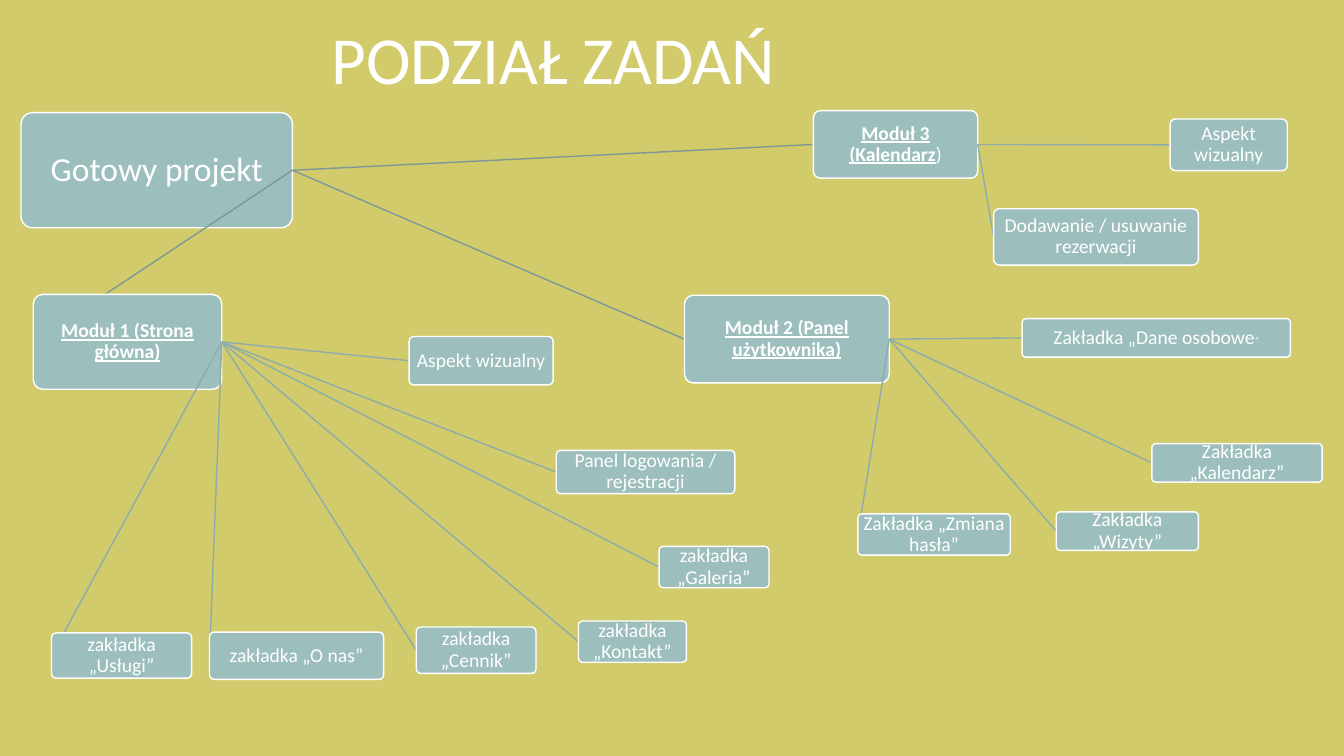
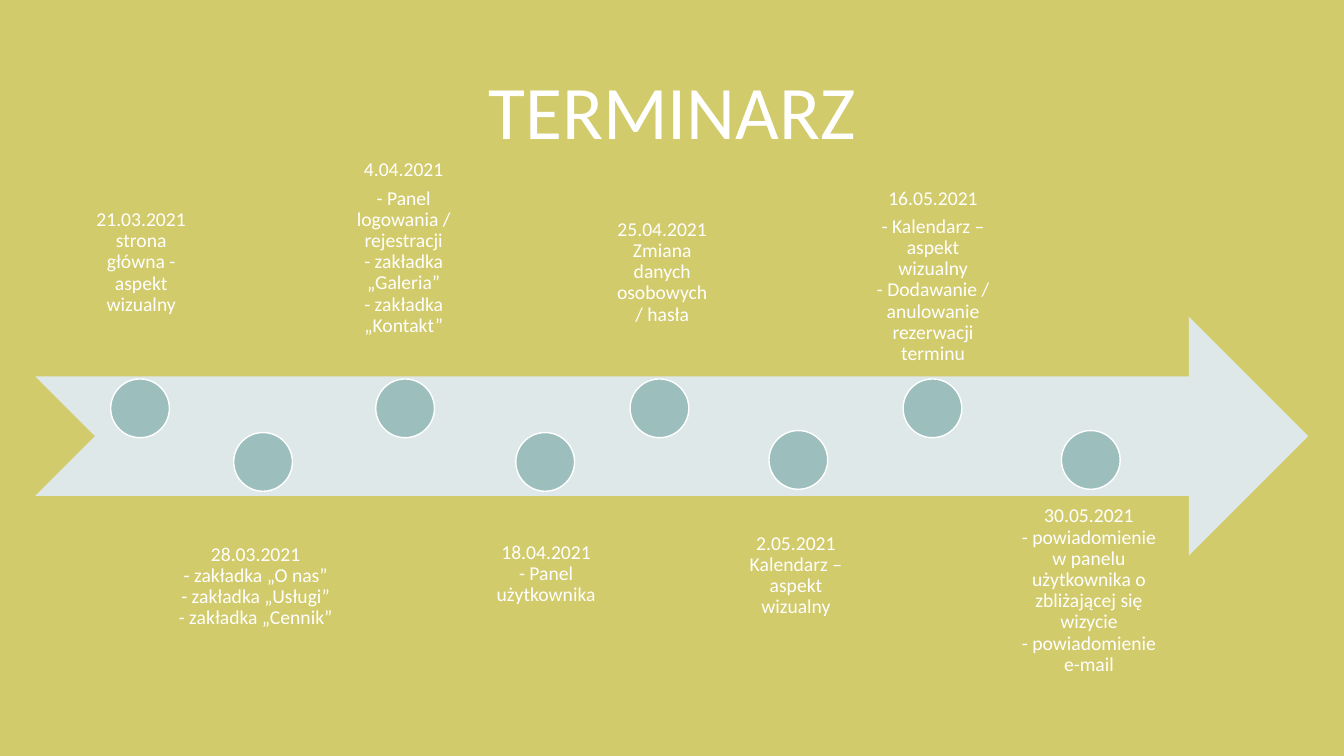
"""Build the two project slides: the task tree and the schedule."""
from lxml.etree import SubElement
from pptx import Presentation
from pptx.dml.color import RGBColor
from pptx.enum.shapes import MSO_CONNECTOR as CONN, MSO_SHAPE as SHAPE
from pptx.enum.text import MSO_ANCHOR as ANCHOR, PP_ALIGN as ALIGN
from pptx.oxml.ns import qn
from pptx.util import Cm, Pt

OLIVE = RGBColor(0xD2, 0xCB, 0x6C)
TEAL = RGBColor(0x9C, 0xBE, 0xBD)
PALE = RGBColor(0xDE, 0xE8, 0xE8)
WHITE = RGBColor(0xFF, 0xFF, 0xFF)
TRUNK = RGBColor(0x7D, 0x98, 0x97)
BRANCH = RGBColor(0x8E, 0xAC, 0xAC)
HEADING = {"bold": True, "underline": True}
LEFT, RIGHT = 1, 3

ROOT = ("Gotowy projekt", (0.53, 2.84, 6.84, 2.9))
MODULES = [
    ([("Moduł 1 (Strona główna)", HEADING)], (0.84, 7.42, 4.75, 2.39), [
        ("Aspekt wizualny", (10.31, 8.48, 3.63, 1.22)),
        ("zakładka „O nas”", (5.28, 15.93, 4.39, 1.19)),
        ("zakładka „Usługi”", (1.3, 15.95, 3.53, 1.14)),
        ("zakładka „Cennik”", (10.49, 15.8, 3.02, 1.17)),
        ("zakładka „Galeria”", (16.61, 13.77, 2.77, 1.04)),
        ("zakładka „Kontakt”", (14.58, 15.65, 2.72, 1.04)),
        ("Panel logowania / rejestracji", (14.02, 11.35, 4.5, 1.09)),
    ]),
    ([("Moduł 2 (Panel użytkownika)", HEADING)], (17.25, 7.44, 5.16, 2.21), [
        ([("Zakładka „Dane osobowe", {}), ("”", {"size": Pt(7)})], (25.76, 8.03, 6.76, 0.97)),
        ("Zakładka „Zmiana hasła”", (21.62, 12.95, 3.84, 1.04)),
        ("Zakładka „Kalendarz”", (29.03, 11.18, 4.29, 0.97)),
        ("Zakładka „Wizyty”", (26.62, 12.9, 3.58, 0.97)),
    ]),
    ([("Moduł 3 (Kalendarz", HEADING), (")", {})], (20.5, 2.79, 4.14, 1.7), [
        ("Dodawanie / usuwanie rezerwacji", (25.04, 5.26, 5.16, 1.42)),
        ("Aspekt wizualny", (29.49, 3, 2.95, 1.3)),
    ]),
]
MILESTONES = [
    (["21.03.2021\nstrona główna - aspekt wizualny"],
     (2.11, 4.32, 2.9, 3.91), (2.79, 9.55)),
    (["28.03.2021\n- zakładka „O nas”\n- zakładka „Usługi”\n- zakładka „Cennik”"],
     (4.17, 13.44, 4.55, 4.47), (5.89, 10.9)),
    (["4.04.2021", "- Panel logowania / rejestracji\n- zakładka „Galeria”\n- zakładka „Kontakt”"],
     (8.51, 3.68, 3.33, 5.08), (9.47, 9.55)),
    (["18.04.2021\n- Panel użytkownika"],
     (12.14, 13.39, 3.25, 2.26), (13, 10.9)),
    (["25.04.2021\nZmiana danych osobowych / hasła"],
     (15.19, 3.78, 3, 4.7), (15.88, 9.55)),
    (["2.05.2021\nKalendarz – aspekt wizualny"],
     (18.47, 13.16, 3.18, 2.46), (19.38, 10.85)),
    (["16.05.2021", "- Kalendarz – aspekt wizualny\n- Dodawanie / anulowanie rezerwacji terminu"],
     (21.79, 3.45, 3.45, 6.02), (22.76, 9.55)),
    (["30.05.2021\n- powiadomienie w panelu użytkownika o zbliżającej się wizycie"
      "\n- powiadomienie e-mail"],
     (25.35, 12.47, 4.19, 6.02), (26.75, 10.85)),
]


def assign(obj, values):
    for name, value in values.items():
        setattr(obj, name, value)


class Deck:
    def __init__(self):
        self.prs = Presentation()
        assign(self.prs, {"slide_width": Cm(33.87), "slide_height": Cm(19.05)})
        self.s = None

    def slide(self, title, left, top, size):
        self.s = self.prs.slides.add_slide(self.prs.slide_layouts[6])
        fill = self.s.background.fill
        fill.solid()
        fill.fore_color.rgb = OLIVE
        self.label([title], (left, top, 18.9, 1.73), ANCHOR.TOP, size,
                   {"space_before": Pt(10)}, (0.25, 0.13))

    def set_text(self, sp, paragraphs, anchor, size, spacing, inset):
        tf = sp.text_frame
        side, end = (Cm(n) for n in inset)
        assign(tf, {"word_wrap": True, "vertical_anchor": anchor, "margin_left": side,
                    "margin_right": side, "margin_top": end, "margin_bottom": end})
        for i, runs in enumerate(paragraphs):
            p = tf.add_paragraph() if i else tf.paragraphs[0]
            assign(p, {"alignment": ALIGN.CENTER, "line_spacing": 0.9, **spacing})
            for text, style in [(runs, {})] if isinstance(runs, str) else runs:
                for j, line in enumerate(text.split("\n")):
                    if j:
                        p.add_line_break()
                    r = p.add_run()
                    r.text = line
                    assign(r.font, {"name": "Calibri", "size": Pt(size), **style})
                    r.font.color.rgb = WHITE

    def label(self, paragraphs, box, anchor, size=14, spacing=None, inset=(0.28, 0.28)):
        sp = self.s.shapes.add_textbox(*map(Cm, box))
        self.set_text(sp, paragraphs, anchor, size, spacing or {"space_after": Pt(5)}, inset)

    def shape(self, kind, box, color, outlined=True):
        sp = self.s.shapes.add_shape(kind, *map(Cm, box))
        sp.shadow.inherit = False
        sp.fill.solid()
        sp.fill.fore_color.rgb = color
        if outlined:
            sp.line.color.rgb = WHITE
            sp.line.width = Pt(1)
        else:
            sp.line.fill.background()
        return sp

    def node(self, runs, box, size=14, parent=None, color=BRANCH):
        link = self.link(parent, color) if parent else None
        sp = self.shape(SHAPE.ROUNDED_RECTANGLE, box, TEAL)
        sp.adjustments[0] = 0.1
        self.set_text(sp, [runs], ANCHOR.MIDDLE, size, {"space_after": Pt(round(size * 0.35))},
                      (0.03, 0.03))
        if link:
            link.end_connect(sp, LEFT)
        return sp

    def link(self, parent, color):
        c = self.s.shapes.add_connector(CONN.STRAIGHT, 0, 0, 0, 0)
        c.begin_connect(parent, RIGHT)
        c.line.color.rgb = color
        c.line.width = Pt(1)
        SubElement(c._element.spPr, qn("a:effectLst"))
        return c


def main():
    deck = Deck()
    deck.slide("PODZIAŁ ZADAŃ", 4.5, 0.53, 48)
    root = deck.node(*ROOT, size=24)
    for runs, box, tasks in MODULES:
        module = deck.node(runs, box, parent=root, color=TRUNK)
        for task, place in tasks:
            deck.node(task, place, parent=module)

    deck.slide("TERMINARZ", 7.49, 1.73, 54)
    deck.shape(SHAPE.NOTCHED_RIGHT_ARROW, (0.89, 7.98, 32.08, 6.02), PALE, outlined=False)
    for i, (paragraphs, box, dot) in enumerate(MILESTONES):
        deck.label(paragraphs, box, ANCHOR.TOP if i % 2 else ANCHOR.BOTTOM)
        deck.shape(SHAPE.OVAL, (*dot, 1.48, 1.48), TEAL)
    deck.prs.save("out.pptx")


if __name__ == "__main__":
    main()
